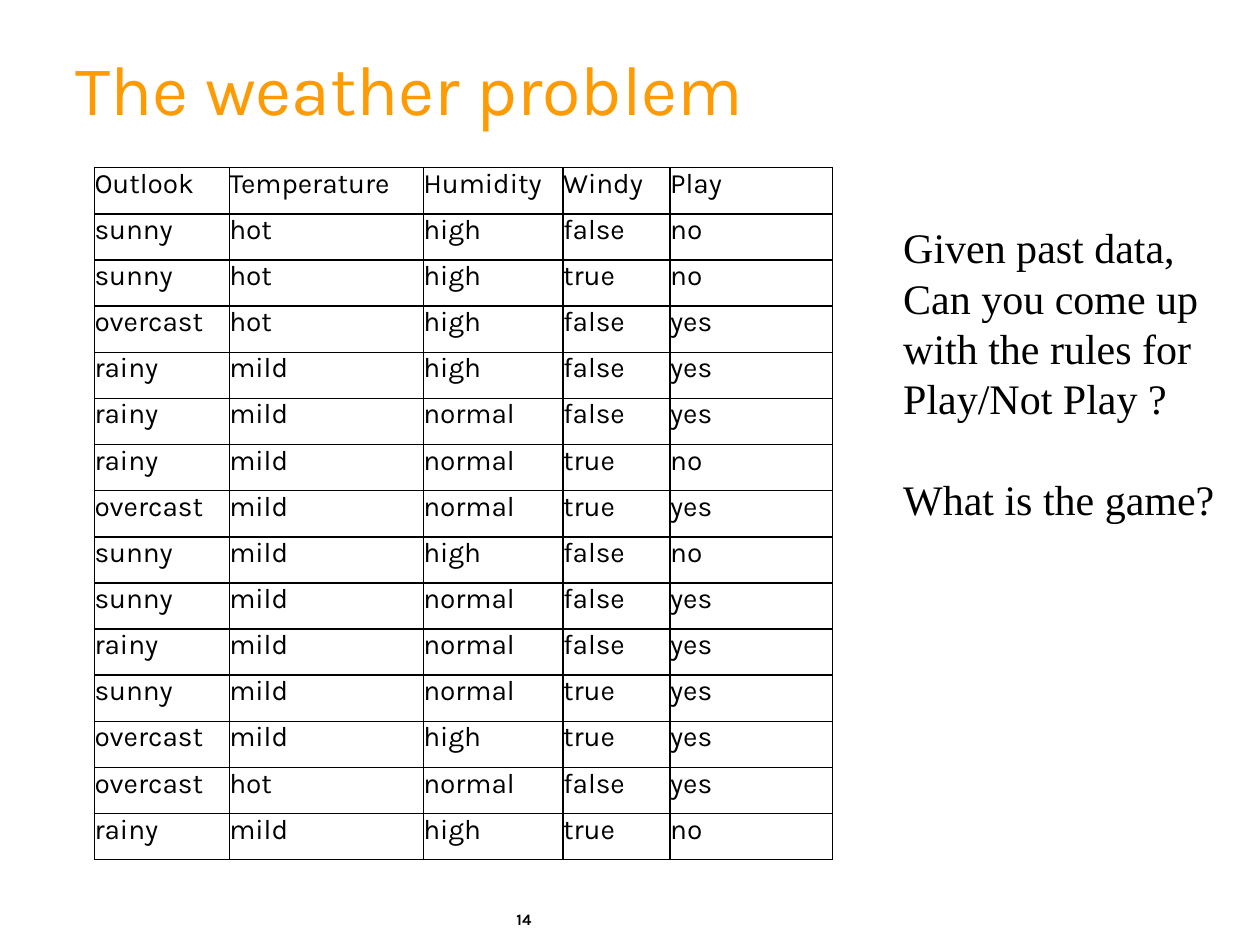
from dataclasses import dataclass

from lxml.etree import SubElement
from pptx import Presentation
from pptx.dml.color import RGBColor as Rgb
from pptx.enum.text import MSO_ANCHOR as Anchor
from pptx.oxml.ns import qn
from pptx.util import Emu, Inches, Pt

WIDTH, HEIGHT = Inches(10), Inches(7.5)


@dataclass(frozen=True)
class Style:
    size: float
    color: Rgb
    font: str
    bold: bool = False


@dataclass(frozen=True)
class Theme:
    ink: Rgb = Rgb(0, 0, 0)
    title: Style = Style(40, Rgb(0xFE, 0x9B, 0x03), "Karla")
    cell: Style = Style(16, ink, "Karla")
    question: Style = Style(24, ink, "Times New Roman")
    number: Style = Style(9, ink, "Karla", True)
    border: float = 1
    question_gap: float = 28.8


@dataclass(frozen=True)
class Area:
    """Left, top, width and height in percent of the slide."""
    left: float
    top: float
    width: float
    height: float

    def lengths(self) -> tuple[Emu, Emu, Emu, Emu]:
        return (Emu(int(WIDTH * self.left / 100)), Emu(int(HEIGHT * self.top / 100)),
                Emu(int(WIDTH * self.width / 100)), Emu(int(HEIGHT * self.height / 100)))


@dataclass(frozen=True)
class TextBlock:
    area: Area
    style: Style
    lines: tuple[str, ...]
    anchor: Anchor = Anchor.TOP
    line_spacing: float | None = None


THEME = Theme()
TITLE = TextBlock(Area(5, 3.33, 90.8, 13.33), THEME.title,
                  ("The weather problem",), Anchor.MIDDLE, 0.85)
NUMBER = TextBlock(Area(40, 95.6, 10.2, 4.4), THEME.number, ("14",))
QUESTION = TextBlock(Area(70.7, 22.8, 26.7, 33.33), THEME.question, (
    "Given past data,", "Can you come up", "with the rules for",
    "Play/Not Play ?", "What is the game?"))

TABLE_AREA = Area(7.5, 17.75, 58.6, 73.3)
COLUMN_SHARES = (10.7, 15.4, 11.1, 8.5, 12.9)
WEATHER = """Outlook Temperature Humidity Windy Play
sunny hot high false no
sunny hot high true no
overcast hot high false yes
rainy mild high false yes
rainy mild normal false yes
rainy mild normal true no
overcast mild normal true yes
sunny mild high false no
sunny mild normal false yes
rainy mild normal false yes
sunny mild normal true yes
overcast mild high true yes
overcast hot normal false yes
rainy mild high true no"""


def add_span(para, text: str, style: Style) -> None:
    span = para.add_run()
    span.text = text
    span.font.size = Pt(style.size)
    span.font.name = style.font
    span.font.bold = style.bold
    span.font.color.rgb = style.color


def add_text(page, block: TextBlock):
    box = page.shapes.add_textbox(*block.area.lengths())
    frame = box.text_frame
    frame.word_wrap = True
    frame.vertical_anchor = block.anchor
    for index, line in enumerate(block.lines):
        para = frame.add_paragraph() if index else frame.paragraphs[0]
        if block.line_spacing:
            para.line_spacing = block.line_spacing
        add_span(para, line, block.style)
    return box


def outline_cell(cell) -> None:
    properties = cell._tc.get_or_add_tcPr()
    for side in ("lnL", "lnR", "lnT", "lnB"):
        line = SubElement(properties, qn(f"a:{side}"), w=str(Pt(THEME.border)))
        fill = SubElement(line, qn("a:solidFill"))
        SubElement(fill, qn("a:srgbClr"), val=str(THEME.ink))


def fill_cell(cell, text: str) -> None:
    cell.margin_left = cell.margin_right = cell.margin_top = cell.margin_bottom = 0
    outline_cell(cell)
    cell.fill.background()
    para = cell.text_frame.paragraphs[0]
    indent = Inches(0.31)
    properties = para._p.get_or_add_pPr()
    properties.set("marL", str(indent))
    properties.set("indent", str(-indent))
    add_span(para, text, THEME.cell)


def add_weather_table(page) -> None:
    records = [line.split() for line in WEATHER.splitlines()]
    table = page.shapes.add_table(
        len(records), len(COLUMN_SHARES), *TABLE_AREA.lengths()).table
    table.first_row = table.horz_banding = False
    for column, share in zip(table.columns, COLUMN_SHARES):
        column.width = Emu(int(WIDTH * share / 100))
    for row, record in zip(table.rows, records):
        for cell, text in zip(row.cells, record):
            fill_cell(cell, text)


def main() -> None:
    deck = Presentation()
    deck.slide_width, deck.slide_height = WIDTH, HEIGHT
    page = deck.slides.add_slide(deck.slide_layouts[6])
    add_text(page, NUMBER)
    add_text(page, TITLE)
    add_weather_table(page)
    question = add_text(page, QUESTION)
    question.text_frame.paragraphs[-1].space_before = Pt(THEME.question_gap)
    deck.save("out.pptx")


if __name__ == "__main__":
    main()
